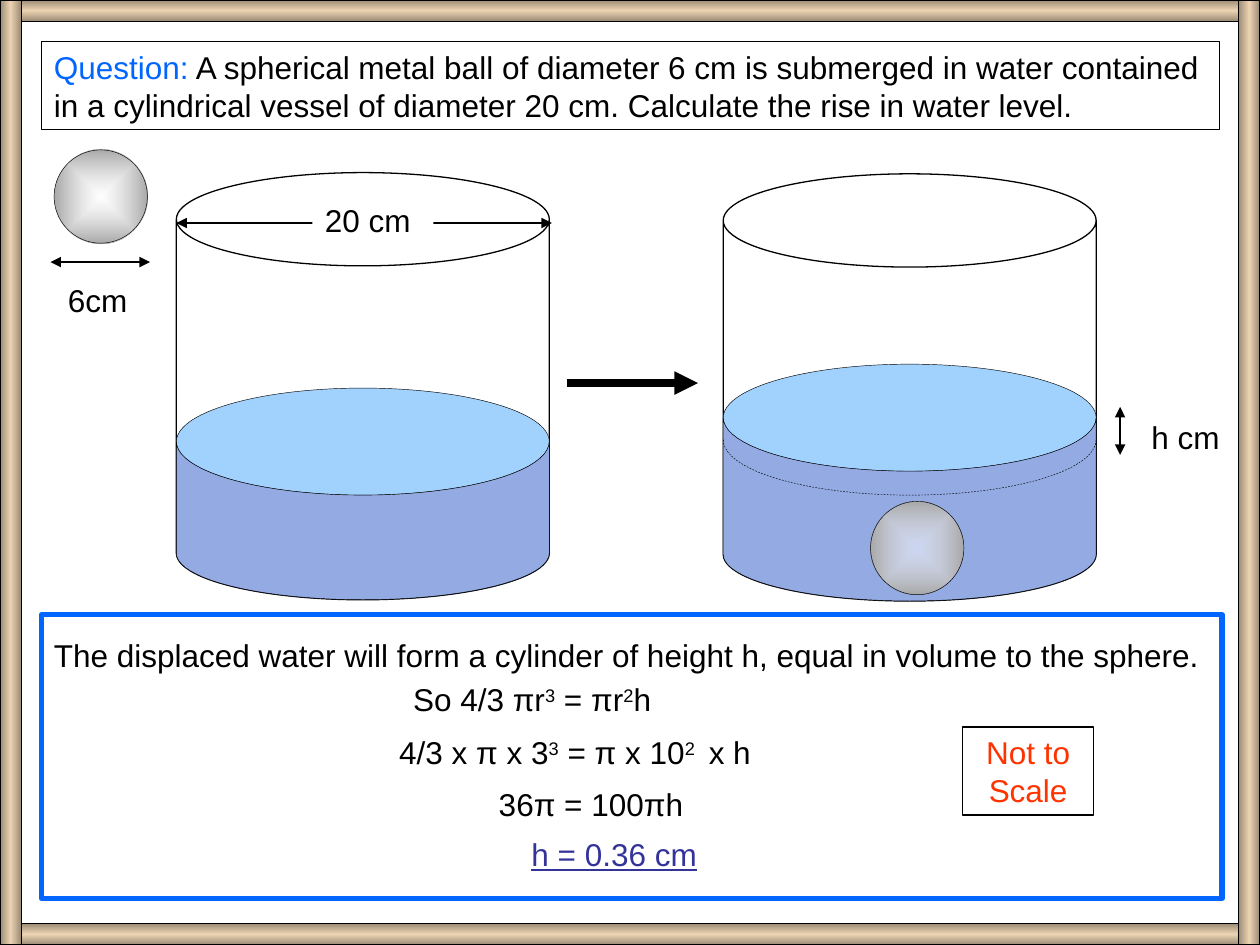
from math import cos, pi, sin

from pptx import Presentation
from pptx.dml.color import RGBColor
from pptx.enum.dml import MSO_LINE
from pptx.enum.shapes import MSO_CONNECTOR, MSO_SHAPE
from pptx.enum.text import MSO_ANCHOR, PP_ALIGN
from pptx.oxml import parse_xml
from pptx.oxml.ns import qn
from pptx.util import Inches, Pt

RECT, OVAL, CAN = MSO_SHAPE.RECTANGLE, MSO_SHAPE.OVAL, MSO_SHAPE.CAN
LEFT, CENTER = PP_ALIGN.LEFT, PP_ALIGN.CENTER
NS = 'xmlns:a="http://schemas.openxmlformats.org/drawingml/2006/main"'

THEME = {
    "font": "Arial", "size": 18, "ink": "000000", "paper": "FFFFFF",
    "blue": "0066FF", "answer": "333399", "red": "FF3300",
    "surface": "A1D1FD", "water": "93AAE3",
    "metal": [(0, "FFFFFF", 52), (100, "A8A8A8", 100)],
    "wood": [(0, "9B8B75", 100), (50, "ECD3B2", 100), (100, "9B8B75", 100)],
    "hair": 0.25, "thin": 0.75, "medium": 1, "border": 3, "thick": 4.5,
}
INK, PAPER = THEME["ink"], THEME["paper"]
HAIR, THIN = THEME["hair"], THEME["thin"]
RADIAL = ('<a:path path="rect"><a:fillToRect l="50000" t="50000" '
          'r="50000" b="50000"/></a:path>')


def style(sp, fill=None, width=None, color=INK, shade=None):
    """Fill with a colour, or with gradient stops laid out by shade."""
    sp.shadow.inherit = False
    sp.fill.background()
    if shade:
        stops = "".join(
            f'<a:gs pos="{pos * 1000}"><a:srgbClr val="{rgb}">'
            f'<a:alpha val="{alpha * 1000}"/></a:srgbClr></a:gs>'
            for pos, rgb, alpha in fill)
        none = sp._element.spPr.find(qn("a:noFill"))
        none.getparent().replace(none, parse_xml(
            f'<a:gradFill {NS} rotWithShape="1"><a:gsLst>{stops}</a:gsLst>'
            f'{shade}</a:gradFill>'))
    elif fill:
        sp.fill.solid()
        sp.fill.fore_color.rgb = RGBColor.from_string(fill)
    if width:
        sp.line.color.rgb = RGBColor.from_string(color)
        sp.line.width = Pt(width)
    else:
        sp.line.fill.background()


def write(sp, text, marked, align=LEFT, **base):
    """Write text; the parts between ^ signs take the marked format."""
    tf = sp.text_frame
    tf.word_wrap = True
    tf.vertical_anchor = MSO_ANCHOR.TOP
    p = tf.paragraphs[0]
    p.alignment = align
    for i, part in enumerate(text.split("^")):
        if not part:
            continue
        r = p.add_run()
        r.text = part
        look = {"name": THEME["font"], "size": Pt(THEME["size"]),
                "color": INK, **base, **(marked if i % 2 else {})}
        r.font.color.rgb = RGBColor.from_string(look.pop("color"))
        if look.pop("superscript", False):
            r.font._element.set("baseline", "30000")
        for name, value in look.items():
            setattr(r.font, name, value)


prs = Presentation()
prs.slide_width, prs.slide_height = Inches(10), Inches(7.5)
s = prs.slides.add_slide(prs.slide_layouts[6])
shapes = s.shapes

# Working panel
panel = shapes.add_shape(RECT, Inches(0.33), Inches(4.88), Inches(9.37), Inches(2.25))
style(panel, PAPER, THEME["border"], THEME["blue"])

# Vessels: outline, water surface, water body
VESSEL_W, VESSEL_H, SURFACE_H = 2.96, 3.39, 0.85
RX, BASE_RY = VESSEL_W / 2, VESSEL_W / 8
STEPS = 40
half_turn = [pi * i / STEPS for i in range(STEPS + 1)]
for left, top, surface_top in ((1.4, 1.37, 3.08), (5.74, 1.38, 2.89)):
    for kind, y, h, fill, width in (
            (CAN, top, VESSEL_H, None, THIN),
            (OVAL, surface_top, SURFACE_H, THEME["surface"], HAIR)):
        sp = shapes.add_shape(kind, Inches(left), Inches(y), Inches(VESSEL_W), Inches(h))
        style(sp, fill, width)
    cx = left + RX
    level, base = surface_top + SURFACE_H / 2, top + VESSEL_H - BASE_RY
    rim = [(cx - RX * cos(a), level + SURFACE_H / 2 * sin(a)) for a in half_turn]
    floor = [(cx + RX * cos(a), base + BASE_RY * sin(a)) for a in half_turn]
    outline = [(Inches(x), Inches(y)) for x, y in rim + floor]
    fb = shapes.build_freeform(*outline[0])
    fb.add_line_segments(outline[1:], close=True)
    style(fb.convert_to_shape(), THEME["water"], HAIR)

# Former water level in the second vessel
arc = [(Inches(cx - RX * cos(a)), Inches(3.49 + 0.44 * sin(a))) for a in half_turn]
fb = shapes.build_freeform(*arc[0])
fb.add_line_segments(arc[1:], close=False)
old_level = fb.convert_to_shape()
style(old_level, None, HAIR)
old_level.line.dash_style = MSO_LINE.DASH

# Metal balls
for x, y in ((0.43, 1.19), (6.91, 3.98)):
    ball = shapes.add_shape(OVAL, Inches(x), Inches(y), Inches(0.74), Inches(0.74))
    style(ball, THEME["metal"], HAIR, shade=RADIAL)

# Dimension lines and the step arrow
for x1, y1, x2, y2, width, ends in (
        (1.4, 1.77, 4.38, 1.77, THEME["medium"], ("headEnd", "tailEnd")),
        (0.4, 2.08, 1.19, 2.08, THIN, ("headEnd", "tailEnd")),
        (8.89, 3.23, 8.89, 3.61, THIN, ("headEnd", "tailEnd")),
        (4.5, 3.04, 5.54, 3.04, THEME["thick"], ("tailEnd",))):
    line = shapes.add_connector(MSO_CONNECTOR.STRAIGHT, Inches(x1), Inches(y1),
                                Inches(x2), Inches(y2))
    line.line.color.rgb = RGBColor.from_string(INK)
    line.line.width = Pt(width)
    for end in ends:
        line.line._get_or_add_ln().append(parse_xml(f'<a:{end} {NS} type="triangle"/>'))
    line._element.spPr.append(parse_xml(f"<a:effectLst {NS}/>"))

# Question and dimension labels
for x, y, w, h, width, text in (
        (0.33, 0.33, 9.35, 0.7, THIN,
         "^Question:^ A spherical metal ball of diameter 6 cm is submerged in water "
         "contained in a cylindrical vessel of diameter 20 cm. Calculate the rise in "
         "water level."),
        (2.48, 1.55, 0.96, 0.4, None, "20 cm"),
        (0.44, 2.18, 0.77, 0.4, None, "6cm"),
        (9.04, 3.27, 0.96, 0.4, None, "h cm")):
    sp = shapes.add_shape(RECT, Inches(x), Inches(y), Inches(w), Inches(h))
    style(sp, PAPER, width)
    write(sp, text, {"color": THEME["blue"]})

# Working, line by line
for x, y, w, text, look in (
        (0.33, 5, 9.35, "The displaced water will form a cylinder of height h, "
         "equal in volume to the sphere.", {}),
        (3.18, 5.35, 2.17, "So 4/3 πr^3^ = πr^2^h", {}),
        (3.07, 5.77, 3.1, "4/3 x π x 3^3^ = π x 10^2 ^ x h", {}),
        (3.86, 6.18, 1.81, "36π = 100πh", {}),
        (4.12, 6.58, 1.97, "h = 0.36 cm",
         {"color": THEME["answer"], "underline": True})):
    tb = shapes.add_textbox(Inches(x), Inches(y), Inches(w), Inches(0.4))
    write(tb, text, {"superscript": True}, **look)

# Wooden frame
for x, y, w, h, angle in ((0, 0, 10, 0.17, 90), (0, 7.33, 10, 0.17, 90),
                          (0, 0, 0.17, 7.5, 0), (9.83, 0, 0.17, 7.5, 0)):
    bar = shapes.add_shape(RECT, Inches(x), Inches(y), Inches(w), Inches(h))
    style(bar, THEME["wood"], THIN,
          shade=f'<a:lin ang="{angle * 60000}" scaled="1"/>')

# Scale note
note = shapes.add_shape(RECT, Inches(7.64), Inches(5.77), Inches(1.04), Inches(0.7))
style(note, None, THIN)
write(note, "Not to Scale", {}, CENTER, color=THEME["red"])

prs.save("out.pptx")
